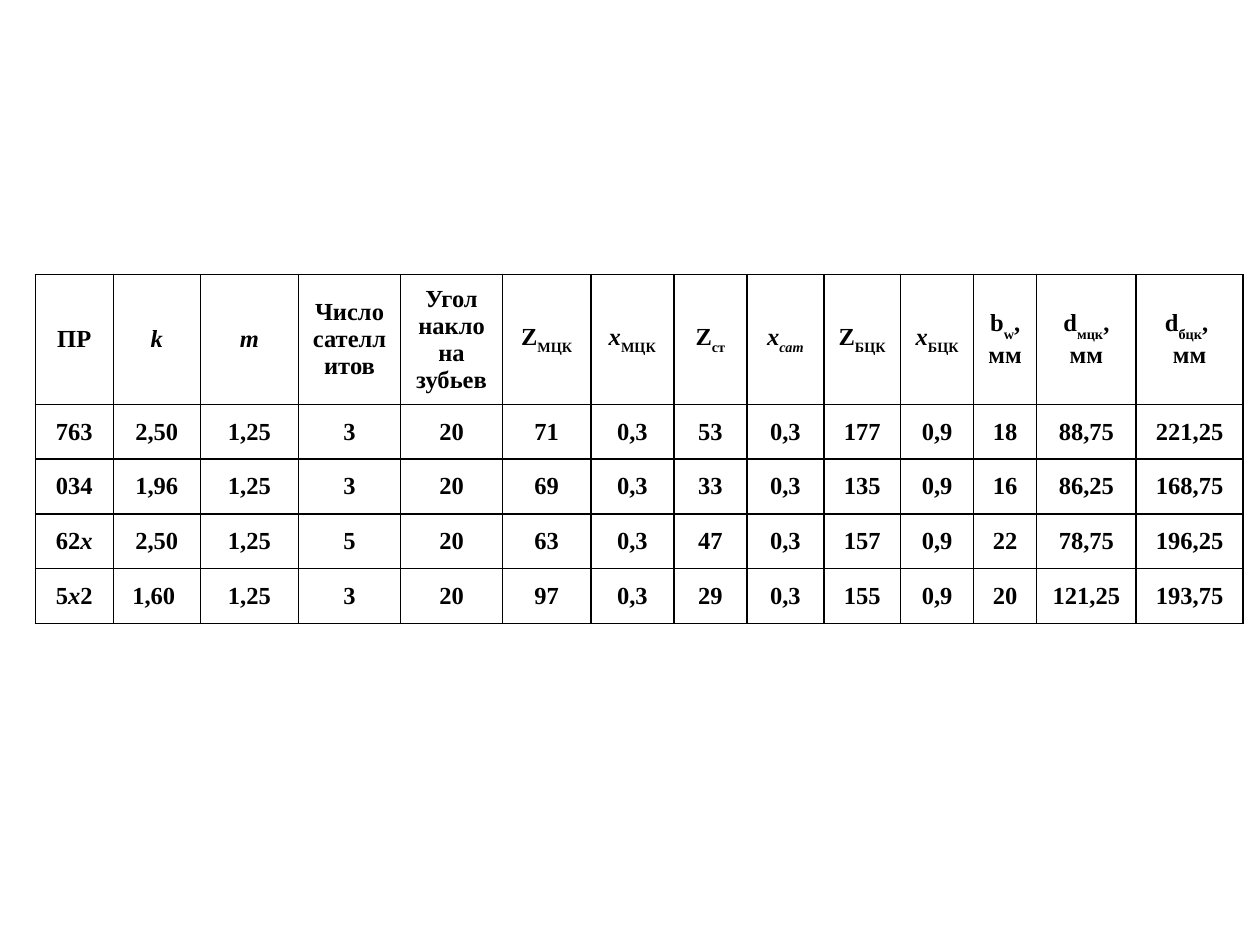
from dataclasses import dataclass

from lxml import etree
from pptx import Presentation
from pptx import util as u
from pptx.dml.color import RGBColor
from pptx.enum import text
from pptx.oxml import ns


@dataclass(frozen=True)
class Theme:
    font: str = "Times New Roman"
    size: u.Pt = u.Pt(14)
    ink: str = "000000"
    paper: str = "FFFFFF"
    border: u.Pt = u.Pt(1)


THEME = Theme()
ITALIC = {"italic": True}
SUB = {"baseline": -25}
LOW_SUB = {"baseline": -30}
ITALIC_SUB = {**ITALIC, **SUB}

COLUMN_WIDTHS = [0.62, 0.69, 0.78, 0.81, 0.81, 0.7, 0.66,
                 0.58, 0.61, 0.61, 0.58, 0.5, 0.79, 0.85]
HEADER_HEIGHT, GEAR_HEIGHT = 1.03, 0.435

# A cell is plain text or a list of paragraphs, each a list of (text, format) runs
HEADER = [
    "ПР",
    [[("k", ITALIC)]],
    [[("m", ITALIC)]],
    "Число сателлитов",
    "Угол наклона зубьев",
    [[("Z", {}), ("МЦК", LOW_SUB)]],
    [[("х", ITALIC), ("МЦК", SUB)]],
    [[("Z", {}), ("ст", SUB)]],
    [[("х", ITALIC), ("сат", ITALIC_SUB)]],
    [[("Z", {}), ("БЦК", LOW_SUB)]],
    [[("х", ITALIC), ("БЦК", SUB)]],
    [[("b", {}), ("w", LOW_SUB), (", мм", {})]],
    [[("d", {}), ("мцк", LOW_SUB), (", мм", {})]],
    [[("d", {}), ("бцк", LOW_SUB), (", ", {})], [("мм", {})]],
]
GEAR_SETS = [
    ["763", "2,50", "1,25", "3", "20", "71", "0,3", "53", "0,3",
     "177", "0,9", "18", "88,75", "221,25"],
    ["034", "1,96", "1,25", "3", "20", "69", "0,3", "33", "0,3",
     "135", "0,9", "16", "86,25", "168,75"],
    [[[("62", {}), ("х", ITALIC)]], "2,50", "1,25", "5", "20", "63", "0,3",
     "47", "0,3", "157", "0,9", "22", "78,75", "196,25"],
    [[[("5", {}), ("х", ITALIC), ("2", {})]], "1,60 ", "1,25", "3", "20", "97",
     "0,3", "29", "0,3", "155", "0,9", "20", "121,25", "193,75"],
]


def write_run(paragraph, words, style):
    run = paragraph.add_run()
    run.text = words
    values = {"name": THEME.font, "size": THEME.size, "bold": True,
              "italic": style.get("italic", False)}
    for name, value in values.items():
        setattr(run.font, name, value)
    run.font.color.rgb = RGBColor.from_string(THEME.ink)
    if "baseline" in style:
        run.font._element.set("baseline", str(style["baseline"] * 1000))


def draw_borders(cell):
    properties = cell._tc.get_or_add_tcPr()
    for position, side in enumerate(("lnL", "lnR", "lnT", "lnB")):
        line = etree.Element(ns.qn(f"a:{side}"), w=str(THEME.border))
        fill = etree.SubElement(line, ns.qn("a:solidFill"))
        etree.SubElement(fill, ns.qn("a:srgbClr"), val=THEME.ink)
        properties.insert(position, line)


def fill_cell(cell, content):
    margins = {"margin_left": 0.1, "margin_right": 0.1,
               "margin_top": 0.05, "margin_bottom": 0.05}
    for name, value in margins.items():
        setattr(cell, name, u.Inches(value))
    cell.vertical_anchor = text.MSO_ANCHOR.MIDDLE
    cell.fill.solid()
    cell.fill.fore_color.rgb = RGBColor.from_string(THEME.paper)
    draw_borders(cell)

    lines = [[(content, {})]] if isinstance(content, str) else content
    for index, runs in enumerate(lines):
        frame = cell.text_frame
        paragraph = frame.add_paragraph() if index else frame.paragraphs[0]
        paragraph.alignment = text.PP_ALIGN.CENTER
        for words, style in runs:
            write_run(paragraph, words, style)


def add_gear_table(slide, left, top, width, height):
    rows = [HEADER, *GEAR_SETS]
    table = slide.shapes.add_table(len(rows), len(HEADER),
                                   left, top, width, height).table
    table.first_row = table.horz_banding = False

    # Column widths share the box; the header row is taller than the rest
    for column, share in zip(table.columns, COLUMN_WIDTHS):
        column.width = int(width * share / sum(COLUMN_WIDTHS))
    heights = [HEADER_HEIGHT] + [GEAR_HEIGHT] * len(GEAR_SETS)
    for row, share in zip(table.rows, heights):
        row.height = int(height * share / sum(heights))

    for row, contents in zip(table.rows, rows):
        for cell, content in zip(row.cells, contents):
            fill_cell(cell, content)


def main():
    deck = Presentation()
    deck.slide_width, deck.slide_height = u.Inches(10), u.Inches(7.5)
    slide = deck.slides.add_slide(deck.slide_layouts.get_by_name("Blank"))
    add_gear_table(slide, u.Inches(0.28), u.Inches(2.18),
                   u.Inches(9.59), u.Inches(2.77))
    deck.save("out.pptx")


if __name__ == "__main__":
    main()
